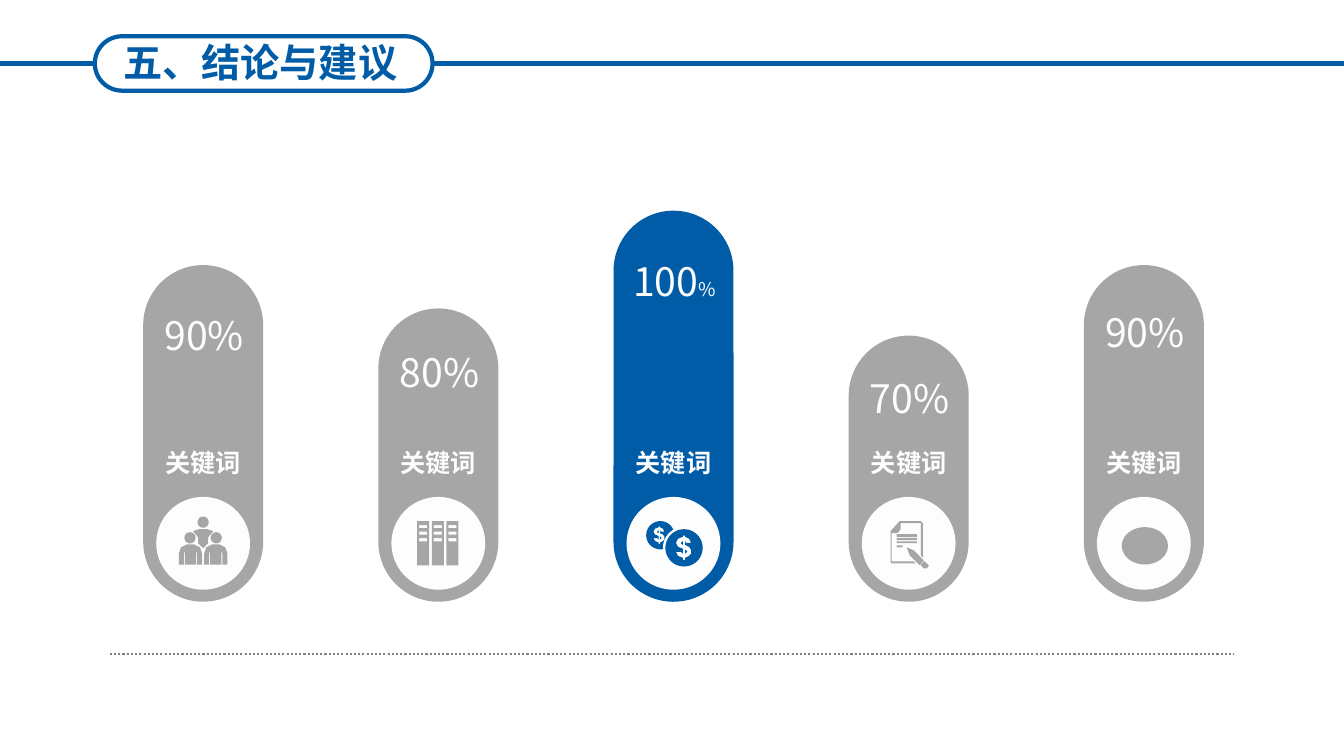
"""Build the conclusions slide with five keyword bars."""
import math

import pptx
import pptx.dml.color
import pptx.enum.dml
import pptx.enum.shapes
import pptx.enum.text
import pptx.oxml
import pptx.oxml.ns
import pptx.util

Inches = pptx.util.Inches
SHAPES = pptx.enum.shapes.MSO_SHAPE
FONT = "Noto Sans CJK SC"
BLUE, GRAY, WHITE, RULE = "005CA7", "A6A6A6", "FDFDFD", "808080"
FIRST_LEFT, PITCH, BAR_WIDTH, BAR_BOTTOM = 1.42, 2.3325, 1.19, 5.97
ICON_MIDDLE = 5.39


def color(hex_text):
    return pptx.dml.color.RGBColor.from_string(hex_text)


def add_preset(parent, kind, left, top, width, height, fill=None, line=None):
    shape = parent.shapes.add_shape(kind, Inches(left), Inches(top), Inches(width), Inches(height))
    shape.shadow.inherit = False
    if kind == SHAPES.ROUNDED_RECTANGLE:
        shape.adjustments[0] = 0.5
    if fill:
        shape.fill.solid()
        shape.fill.fore_color.rgb = color(fill)
    else:
        shape.fill.background()
    if line:
        shape.line.color.rgb = color(line)
        shape.line.width = pptx.util.Pt(3)
    else:
        shape.line.fill.background()
    return shape


def add_line(page, start, end, y, hex_text, width):
    line = page.shapes.add_connector(
        pptx.enum.shapes.MSO_CONNECTOR.STRAIGHT, Inches(start), Inches(y), Inches(end), Inches(y))
    line.line.color.rgb = color(hex_text)
    line.line.width = pptx.util.Pt(width)
    line._element.spPr.append(pptx.oxml.parse_xml(
        "<a:effectLst %s/>" % pptx.oxml.ns.nsdecls("a")))
    return line


def format_run(run, size, hex_text, bold):
    run.font.size = pptx.util.Pt(size)
    run.font.bold = bold
    run.font.name = FONT
    run.font.color.rgb = color(hex_text)
    properties = run._r.get_or_add_rPr()
    properties.append(pptx.oxml.parse_xml(
        '<a:ea %s typeface="%s"/>' % (pptx.oxml.ns.nsdecls("a"), FONT)))


def fill_text(box, parts, hex_text, bold=False):
    frame = box.text_frame
    frame.word_wrap = True
    frame.vertical_anchor = pptx.enum.text.MSO_ANCHOR.TOP
    para = frame.paragraphs[0]
    para.alignment = pptx.enum.text.PP_ALIGN.CENTER
    for text, size in parts:
        run = para.add_run()
        run.text = text
        format_run(run, size, hex_text, bold)


def add_text(parent, left, top, width, height, parts, bold=False):
    box = parent.shapes.add_textbox(Inches(left), Inches(top), Inches(width), Inches(height))
    fill_text(box, parts, WHITE, bold)


def rectangle(left, top, width, height):
    right, bottom = left + width, top + height
    return [(left, top), (right, top), (right, bottom), (left, bottom)]


def arc(x, y, radius, start=0, end=360):
    angles = [math.radians(start + (end - start) * step / 48) for step in range(49)]
    return [(x + radius * math.cos(angle), y + radius * math.sin(angle)) for angle in angles]


def people_icon():
    torso = [(5, 0), (5, -6), (10, -12), (4, -14), (-4, -14), (-10, -12), (-5, -6), (-5, 0), (0, 5)]
    body = [(-24, 21), (-24, 10), (-22, 4), (-16, 1), (-9, 1), (-3, 4), (-1, 10), (-1, 21),
            (-6, 21), (-6, 9), (-7, 9), (-7, 21), (-18, 21), (-18, 9), (-19, 9), (-19, 21)]
    heads = [arc(x, y, 5.5) for x, y in [(0, -21), (-13, -5.5), (13, -5.5)]]
    return heads + [torso, body, [(-x, y) for x, y in body]]


def binders_icon():
    contours = []
    for left in (-21, -6.5, 8):
        contours.append(rectangle(left, -22, 12, 44))
        contours += [rectangle(left + 2, top, 8, 3) for top in (-18, -11.5, -5)]
    return contours


def dollar_sign(x, y, scale):
    outline = [(7, -5), (2, -5), (1, -7), (1, -3), (5, -1), (7, 2), (7, 6), (5, 8), (1, 10),
               (1, 12), (-1, 12), (-1, 10), (-6, 8), (-8, 4), (-3, 4), (-1, 6), (-1, 1),
               (-6, -1), (-8, -5), (-6, -9), (-1, -11), (-1, -12), (1, -12), (1, -11), (5, -9)]
    lower = [(1, 6), (3, 4), (3, 3), (1, 2)]
    upper = [(-1, -7), (-3, -5), (-3, -4), (-1, -3)]
    return [[(x + dx * scale, y + dy * scale) for dx, dy in part]
            for part in (outline, lower, upper)]


def coins_icon():
    back_coin = arc(-13, -8, 14, -21, -282) + arc(10.5, 4.5, 21, 177, 239)
    return ([arc(10.5, 4.5, 18.5), back_coin]
            + dollar_sign(10.5, 4.5, 1) + dollar_sign(-14, -8, 0.72))


def document_icon():
    sheet = [(-17, -10), (-11, -10), (-8, -14), (-8, -20), (12, -20), (12, 12), (14, 14),
             (14, -20), (12, -22), (-9, -22), (-18, -12), (-18, 18), (-17, 20), (7, 20),
             (5, 18), (-17, 18)]
    pencil = [(-2, 4), (5, 7), (15, 17), (11, 22), (1, 12)]
    eraser = [(15, 18), (16, 18), (20, 22), (18, 25), (15, 25), (12, 22)]
    rows = [(-9, 20, 3), (-5, 20, 2), (-2, 20, 2), (2, 6, 2)]
    return [sheet, pencil, eraser] + [rectangle(-12, top, wide, high) for top, wide, high in rows]


def add_icon(parent, center, contours, fill):
    """Draw contours given in hundredths of an inch around the badge centre."""
    placed = [[(Inches(center + x / 100), Inches(ICON_MIDDLE + y / 100)) for x, y in contour]
              for contour in contours]
    builder = parent.shapes.build_freeform(*placed[0][0])
    for contour in placed:
        builder.move_to(*contour[0])
        builder.add_line_segments(contour[1:], close=True)
    icon = builder.convert_to_shape()
    icon.shadow.inherit = False
    icon.fill.solid()
    icon.fill.fore_color.rgb = color(fill)
    icon.line.fill.background()


def add_bar(page, index, top, value_top, parts, fill, contours):
    left = FIRST_LEFT + index * PITCH
    center = left + BAR_WIDTH / 2
    group = page.shapes.add_group_shape()
    add_preset(group, SHAPES.ROUNDED_RECTANGLE, left, top, BAR_WIDTH, BAR_BOTTOM - top, fill)
    add_text(group, left - 0.05, value_top, 1.31, 0.57, parts)
    add_preset(group, SHAPES.OVAL, left + 0.13, 4.93, 0.93, 0.92, WHITE)
    add_text(group, left + 0.09, 4.39, 1.01, 0.4, [("关键词", 18)], True)
    if contours:
        add_icon(group, center, contours, fill)
    else:
        add_preset(group, SHAPES.OVAL, center - 0.22, 5.23, 0.46, 0.37, fill)


def add_heading(page):
    title = page.shapes.title
    title.left, title.top = Inches(0.89), Inches(0.33)
    title.width, title.height = Inches(3.38), Inches(0.57)
    fill_text(title, [("五、结论与建议", 28)], BLUE, True)
    pill = add_preset(page, SHAPES.ROUNDED_RECTANGLE, 0.94, 0.36, 3.35, 0.54, line=BLUE)
    add_line(page, 0, 0.94, 0.63, BLUE, 3).end_connect(pill, 1)
    add_line(page, 4.29, 13.33, 0.63, BLUE, 3).begin_connect(pill, 3)


def main():
    deck = pptx.Presentation()
    deck.slide_width, deck.slide_height = Inches(13.33), Inches(7.5)
    page = deck.slides.add_slide(deck.slide_layouts[5])
    add_heading(page)
    dots = add_line(page, 1.09, 12.24, 6.49, RULE, 1.5)
    dots.line.dash_style = pptx.enum.dml.MSO_LINE.ROUND_DOT
    bars = [
        (2.63, 3.04, [("90%", 28)], GRAY, people_icon()),
        (3.06, 3.41, [("80%", 28)], GRAY, binders_icon()),
        (2.09, 2.5, [("100", 28), ("%", 13.5)], BLUE, coins_icon()),
        (3.33, 3.66, [("70%", 28)], GRAY, document_icon()),
        (2.63, 3.01, [("90%", 28)], GRAY, None),
    ]
    for index, bar in enumerate(bars):
        add_bar(page, index, *bar)
    deck.save("out.pptx")


if __name__ == "__main__":
    main()
